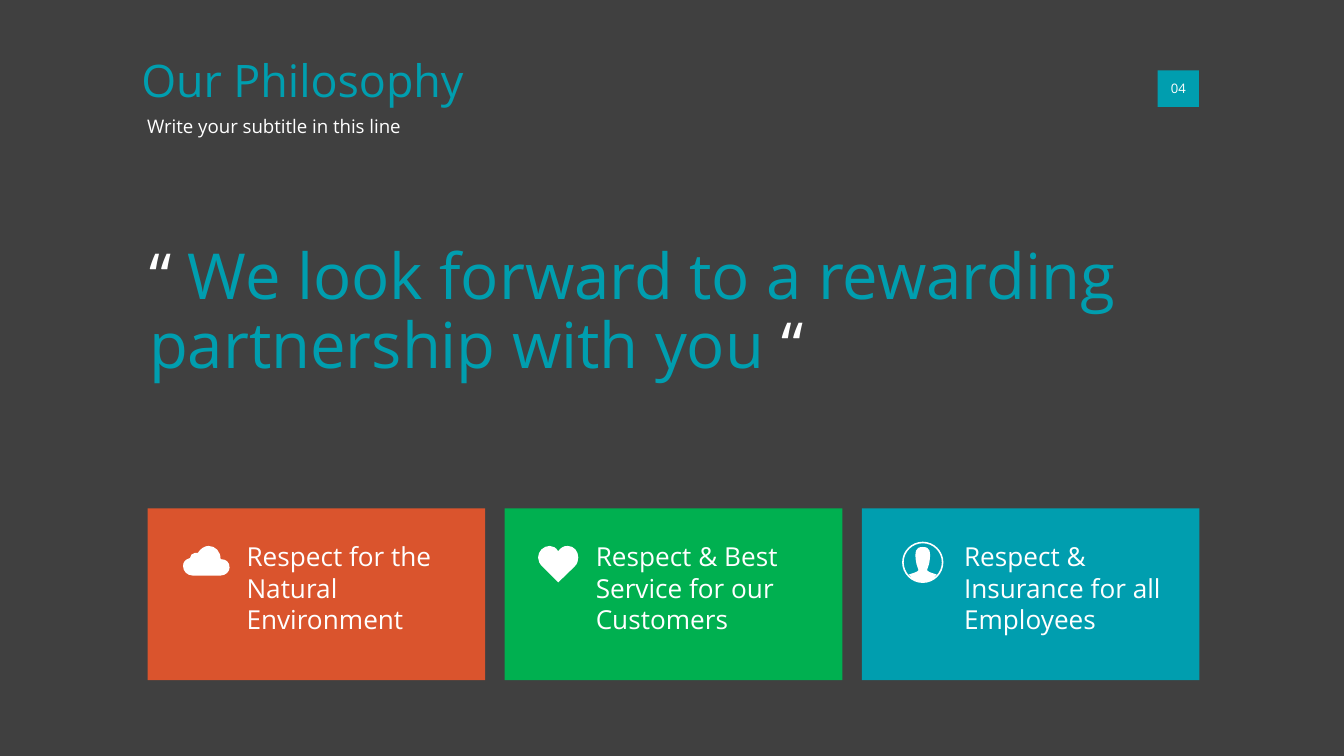
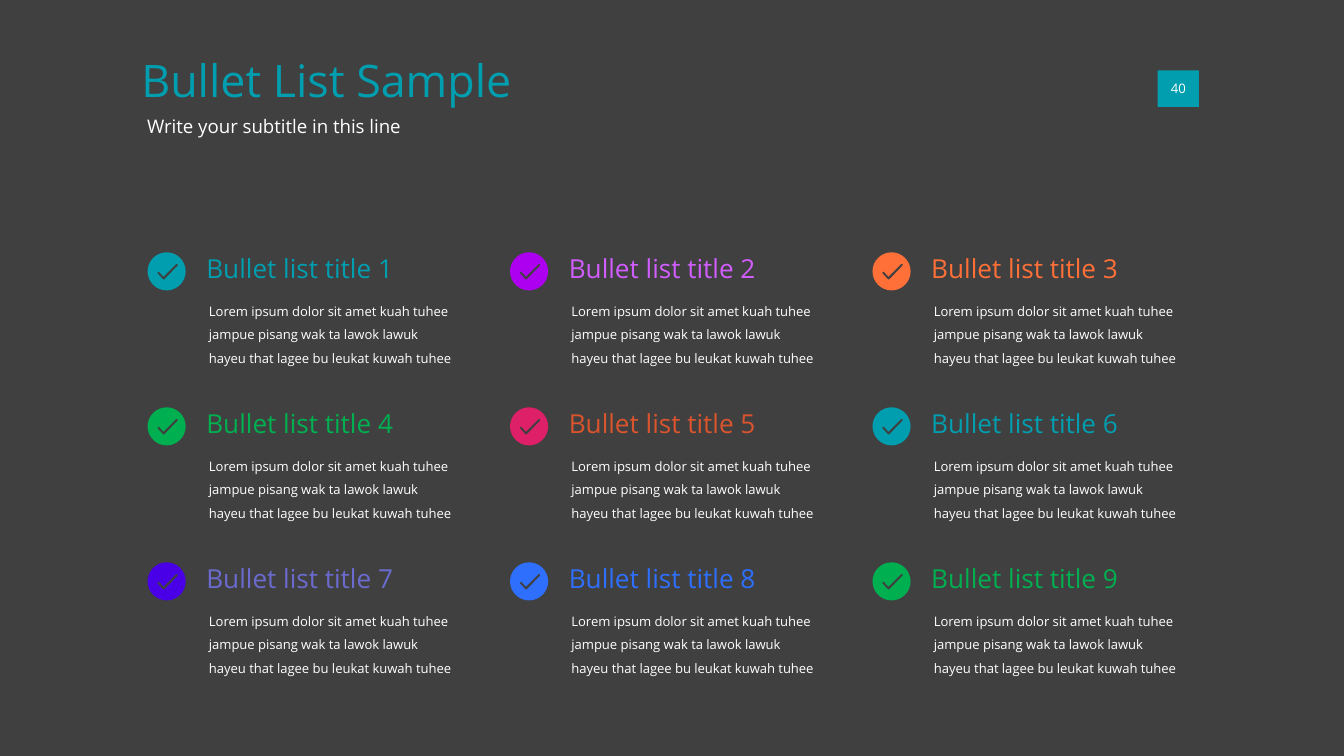
from itertools import product

from lxml.etree import SubElement
from pptx import Presentation
from pptx.dml.color import RGBColor
from pptx.enum.shapes import MSO_SHAPE
from pptx.enum.text import MSO_ANCHOR, MSO_AUTO_SIZE, PP_ALIGN
from pptx.oxml.ns import qn
from pptx.util import Cm, Pt

FONT = "Open Sans"
DARK = RGBColor(0x40, 0x40, 0x40)
WHITE = RGBColor(0xFF, 0xFF, 0xFF)
TEAL = RGBColor(0x00, 0x9E, 0xAF)
GREEN = RGBColor(0x00, 0xB0, 0x50)
RUST = RGBColor(0xDA, 0x54, 0x2D)
PURPLE = RGBColor(0xAE, 0x00, 0xF0)
LILAC = RGBColor(0xD2, 0x5D, 0xFF)
ORANGE = RGBColor(0xFE, 0x70, 0x38)
PINK = RGBColor(0xDD, 0x20, 0x67)
VIOLET = RGBColor(0x4A, 0x00, 0xE6)
MAUVE = RGBColor(0x6B, 0x6B, 0xCF)
BLUE = RGBColor(0x2E, 0x6F, 0xFD)

LEFT = 2.79
UNITS = 1000
LOREM = ("Lorem ipsum dolor sit amet kuah tuhee jampue pisang wak ta lawok lawuk "
         "hayeu that lagee bu leukat kuwah tuhee")


def ring(mid, radius):
    low, high = mid - radius, mid + radius
    pull = 0.55 * radius
    less, more = mid - pull, mid + pull
    return [(mid, low),
            (less, low, low, less, low, mid),
            (low, more, less, high, mid, high),
            (more, high, high, more, high, mid),
            (high, less, more, low, mid, low)]


CLOUD = [[(0.71, 0.25), (0.71, 0.1, 0.61, 0, 0.48, 0),
          (0.41, 0, 0.33, 0.05, 0.28, 0.13), (0.23, 0.13),
          (0.18, 0.13, 0.13, 0.18, 0.13, 0.23),
          (0.05, 0.25, 0, 0.3, 0, 0.38),
          (0, 0.48, 0.08, 0.56, 0.18, 0.56), (0.71, 0.56),
          (0.81, 0.56, 0.88, 0.48, 0.88, 0.41),
          (0.88, 0.3, 0.81, 0.25, 0.71, 0.25)]]
HEART = [[(0.56, 0), (0.48, 0, 0.43, 0.03, 0.38, 0.1),
          (0.34, 0.03, 0.28, 0, 0.22, 0),
          (0.1, 0, 0, 0.1, 0, 0.22),
          (0, 0.28, 0.03, 0.34, 0.08, 0.39), (0.38, 0.69), (0.69, 0.39),
          (0.74, 0.34, 0.76, 0.28, 0.76, 0.22),
          (0.76, 0.1, 0.68, 0, 0.56, 0)]]
PERSON = [ring(0.39, 0.39), ring(0.39, 0.36),
          [(0.13, 0.62), (0.18, 0.6, 0.28, 0.58, 0.31, 0.54),
           (0.31, 0.5, 0.27, 0.46, 0.26, 0.36),
           (0.24, 0.2, 0.24, 0.1, 0.39, 0.1),
           (0.54, 0.1, 0.54, 0.2, 0.52, 0.36),
           (0.51, 0.46, 0.47, 0.5, 0.47, 0.54),
           (0.5, 0.58, 0.6, 0.6, 0.65, 0.62),
           (0.54, 0.79, 0.24, 0.79, 0.13, 0.62)]]
CHECK = [[(0.57, 0.25), (0.32, 0.51), (0.29, 0.51), (0.18, 0.39),
          (0.21, 0.36), (0.3, 0.46), (0.54, 0.22), (0.57, 0.22)],
         ring(0.36, 0.36)]

CARDS = [
    (RUST, CLOUD, 3.46, 10.32, "Respect for the Natural Environment", 4.66, 4.22),
    (GREEN, HEART, 10.17, 10.32, "Respect & Best Service for our Customers", 11.26, 4.39),
    (TEAL, PERSON, 17.05, 10.24, "Respect & Insurance for all Employees", 18.22, 4.19),
]
ITEMS = [(TEAL, TEAL), (PURPLE, LILAC), (ORANGE, ORANGE),
         (GREEN, GREEN), (PINK, RUST), (TEAL, TEAL),
         (VIOLET, MAUVE), (BLUE, BLUE), (GREEN, GREEN)]


def style(run, size, color):
    run.font.name = FONT
    run.font.size = Pt(size)
    run.font.color.rgb = color


def fit(shape, anchor=MSO_ANCHOR.TOP, inset=0):
    frame = shape.text_frame
    frame.word_wrap = True
    frame.auto_size = MSO_AUTO_SIZE.NONE
    frame.vertical_anchor = anchor
    frame.margin_left = frame.margin_right = Cm(inset)
    frame.margin_top = frame.margin_bottom = Cm(inset)
    return frame


def write(shape, text, size, color, anchor=MSO_ANCHOR.TOP, inset=0,
          align=PP_ALIGN.LEFT, spacing=None):
    frame = fit(shape, anchor, inset)
    frame.text = text
    line = frame.paragraphs[0]
    line.alignment = align
    line.line_spacing = spacing
    style(line.runs[0], size, color)
    return line


def place(shape, left, top, width, height):
    shape.left, shape.top = Cm(left), Cm(top)
    shape.width, shape.height = Cm(width), Cm(height)


def add_text(slide, left, top, width, height):
    return slide.shapes.add_textbox(Cm(left), Cm(top), Cm(width), Cm(height))


def paint(shape, color):
    shape.shadow.inherit = False
    shape.fill.solid()
    shape.fill.fore_color.rgb = color
    shape.line.fill.background()


def add_box(slide, left, top, width, height, color):
    box = slide.shapes.add_shape(MSO_SHAPE.RECTANGLE, Cm(left), Cm(top),
                                 Cm(width), Cm(height))
    paint(box, color)
    return box


def add_step(track, tag, part):
    step = SubElement(track, qn(tag))
    for x, y in zip(part[::2], part[1::2]):
        SubElement(step, qn("a:pt"), x=str(round(x * UNITS)), y=str(round(y * UNITS)))


def add_icon(slide, icon, left, top, color):
    ends = [part[-2:] for loop in icon for part in loop]
    right, base = (round(max(side) * UNITS) for side in zip(*ends))
    pen = slide.shapes.build_freeform(0, 0, scale=Cm(1) / UNITS)
    pen.add_line_segments([(right, 0), (right, base), (0, base)])
    shape = pen.convert_to_shape(Cm(left), Cm(top))
    track = next(shape._element.iter(qn("a:path")))
    for step in list(track):
        track.remove(step)
    for start, *parts in icon:
        add_step(track, "a:moveTo", start)
        for part in parts:
            add_step(track, "a:lnTo" if len(part) == 2 else "a:cubicBezTo", part)
        SubElement(track, qn("a:close"))
    paint(shape, color)


def add_page(deck, title, number):
    slide = deck.slides.add_slide(deck.slide_layouts[1])
    head, body = slide.shapes.title, slide.placeholders[1]
    place(head, 2.67, 0.99, 12.09, 1.24)
    write(head, title, 24, TEAL)
    place(body, 2.78, 2.17, 17.55, 0.58)
    line = write(body, "Write your subtitle in this line", 10, WHITE)
    line.space_before = Pt(0)
    props = line._p.get_or_add_pPr()
    props.set("marL", "0")
    props.set("indent", "0")
    SubElement(props, qn("a:buNone"))
    badge = add_box(slide, 21.88, 1.33, 0.78, 0.69, TEAL)
    write(badge, number, 7, WHITE, MSO_ANCHOR.MIDDLE, align=PP_ALIGN.CENTER)
    return slide


def add_quote(slide):
    frame = fit(add_text(slide, 2.82, 4.34, 19.84, 3.18), MSO_ANCHOR.MIDDLE)
    line = frame.paragraphs[0]
    line.line_spacing = 0.9
    for text, color in (("“ ", WHITE),
                        ("We look forward to a rewarding partnership with you ", TEAL),
                        ("“", WHITE)):
        run = line.add_run()
        run.text = text
        style(run, 34, color)


def add_cards(slide):
    for index, (color, icon, x, y, text, left, width) in enumerate(CARDS):
        add_box(slide, LEFT + index * 6.75, 9.61, 6.38, 3.25, color)
        write(add_text(slide, left, 10.22, width, 1.93), text, 14, WHITE)
        add_icon(slide, icon, x, y, WHITE)


def add_items(slide):
    cells = product(range(3), repeat=2)
    for index, ((row, col), (fill, ink)) in enumerate(zip(cells, ITEMS), 1):
        left, top = LEFT + col * 6.85, 4.77 + row * 2.93
        add_icon(slide, CHECK, left, top, fill)
        write(add_text(slide, left + 1.11, top, 4.83, 0.76),
              f"Bullet list title {index}", 14, ink)
        write(add_text(slide, left + 1.06, top + 0.84, 4.86, 1.41), LOREM, 7, WHITE,
              MSO_ANCHOR.BOTTOM, inset=0.1, spacing=1.5)


def main():
    deck = Presentation()
    deck.slide_width, deck.slide_height = Cm(25.4), Cm(14.29)
    back = deck.slide_master.background.fill
    back.solid()
    back.fore_color.rgb = DARK
    slide = add_page(deck, "Our Philosophy", "04")
    add_quote(slide)
    add_cards(slide)
    add_items(add_page(deck, "Bullet List Sample", "40"))
    deck.save("out.pptx")


if __name__ == "__main__":
    main()
